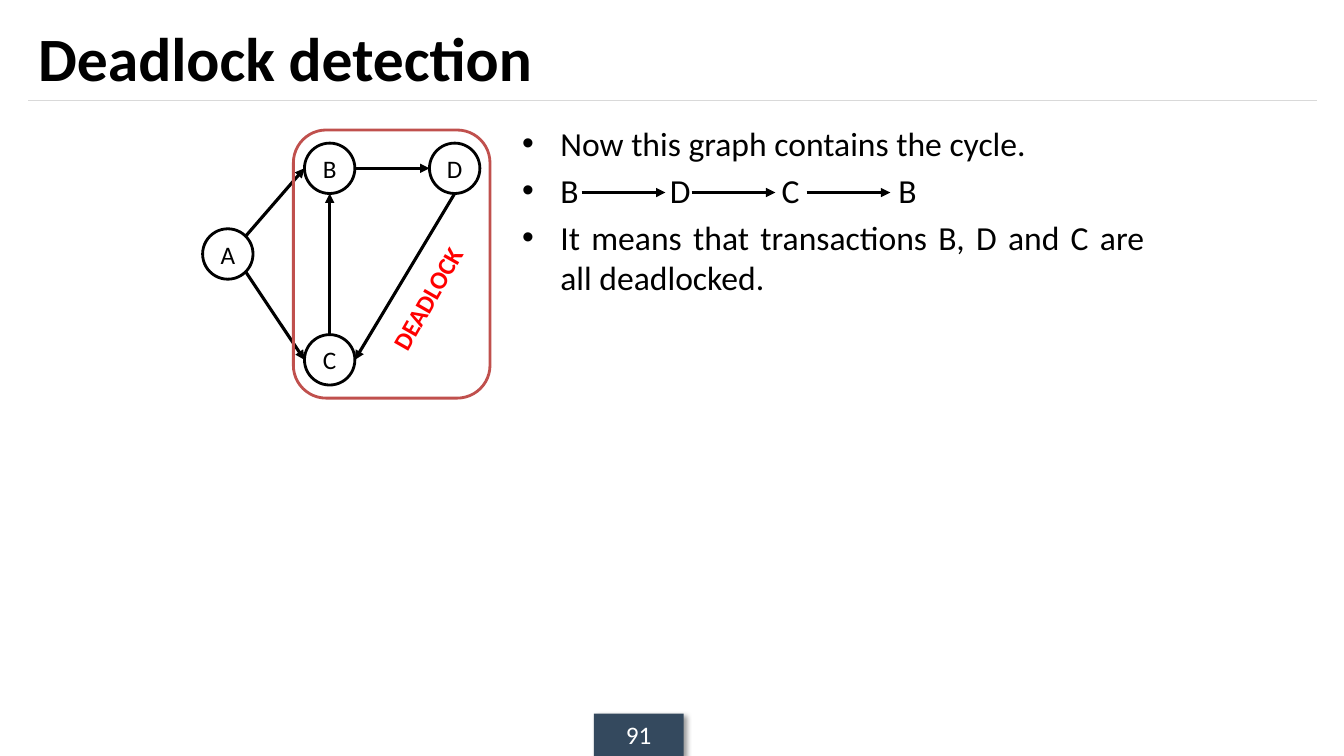
from dataclasses import dataclass
from math import cos, radians, sin

from lxml.etree import SubElement
from pptx import Presentation
from pptx.dml.color import RGBColor
from pptx.enum.shapes import MSO_CONNECTOR, MSO_SHAPE
from pptx.enum.text import MSO_ANCHOR, PP_ALIGN
from pptx.oxml.ns import qn
from pptx.util import Inches, Pt


@dataclass(frozen=True)
class Theme:
    """Colours, font and type sizes of the slide."""

    font: str = "Calibri"
    ink: str = "000000"
    paper: str = "FFFFFF"
    rule: str = "D9D9D9"
    badge: str = "34495E"
    frame: str = "C0504D"
    alarm: str = "FF0000"
    title_size: int = 44
    body_size: int = 24
    label_size: int = 18


THEME = Theme()


def style(target, **values):
    """Set each given value as an attribute of the target."""
    for name, value in values.items():
        setattr(target, name, value)


def add_span(para, text, size, color=THEME.ink, bold=False):
    """Add one formatted run to a paragraph."""
    span = para.add_run()
    span.text = text
    style(span.font, name=THEME.font, size=Pt(size), bold=bold)
    span.font.color.rgb = RGBColor.from_string(color)
    return span


def add_shape(page, kind, box, fill=None, line=None):
    """Draw a preset shape with optional fill and outline."""
    shape = page.shapes.add_shape(kind, *map(Inches, box))
    shape.shadow.inherit = False
    if fill:
        shape.fill.solid()
        shape.fill.fore_color.rgb = RGBColor.from_string(fill)
    else:
        shape.fill.background()
    if line:
        shape.line.color.rgb = RGBColor.from_string(line)
        shape.line.width = Pt(2)
    else:
        shape.line.fill.background()
    return shape


def add_label(shape, text, **look):
    """Centre a short label in a shape."""
    margins = ("margin_left", "margin_right", "margin_top", "margin_bottom")
    style(shape.text_frame, vertical_anchor=MSO_ANCHOR.MIDDLE, word_wrap=True,
          **dict.fromkeys(margins, 0))
    para = shape.text_frame.paragraphs[0]
    para.alignment = PP_ALIGN.CENTER
    add_span(para, text, THEME.label_size, **look)


def add_line(page, start, end, color=THEME.ink, width=2.25, arrow=True):
    """Draw a straight line, by default with an arrowhead at its end."""
    line = page.shapes.add_connector(
        MSO_CONNECTOR.STRAIGHT, *map(Inches, (*start, *end)))
    line.line.color.rgb = RGBColor.from_string(color)
    line.line.width = Pt(width)
    if arrow:
        SubElement(line.line._get_or_add_ln(), qn("a:tailEnd"), type="triangle")
    SubElement(line._element.spPr, qn("a:effectLst"))


def add_title(page, box, text):
    """Write the slide title with a thin rule along its lower edge."""
    left, top, width, height = box
    add_line(page, (left, top + height), (left + width, top + height),
             THEME.rule, 0.75, False)
    title = page.shapes.add_textbox(*map(Inches, box))
    style(title.text_frame, word_wrap=True, vertical_anchor=MSO_ANCHOR.MIDDLE)
    add_span(title.text_frame.paragraphs[0], text, THEME.title_size, bold=True)


def add_page_number(page, box, number):
    """Draw the page number on a dark badge with a soft shadow."""
    badge = add_shape(page, MSO_SHAPE.RECTANGLE, box, THEME.badge)
    effects = badge._element.spPr.find(qn("a:effectLst"))
    shadow = SubElement(effects, qn("a:outerShdw"), blurRad=str(Pt(4)),
                        dist=str(Pt(3)), dir="2700000", algn="tl", rotWithShape="0")
    color = SubElement(shadow, qn("a:srgbClr"), val=THEME.ink)
    SubElement(color, qn("a:alpha"), val="40000")
    add_label(badge, number, color=THEME.paper)


def add_graph(page, box):
    """Draw the wait-for graph and frame its deadlocked cycle."""
    left, top, width, height = box
    radius = 0.25
    centers = {
        "A": (left + radius, top + 1.23),
        "B": (left + 1.26, top + 0.38),
        "C": (left + 1.26, top + 2.28),
        "D": (left + 2.5, top + 0.38),
    }
    for name, (x, y) in centers.items():
        node = add_shape(page, MSO_SHAPE.OVAL,
                         (x - radius, y - radius, 2 * radius, 2 * radius),
                         THEME.paper, THEME.ink)
        add_label(node, name)

    def rim(name, angle):
        """Return the point on a node at a clockwise angle from its right."""
        x, y = centers[name]
        turn = radians(angle)
        return x + radius * cos(turn), y + radius * sin(turn)

    edges = (("A", -45, "B", 180), ("B", 0, "D", 180), ("C", -90, "B", 90),
             ("A", 45, "C", 180), ("D", 90, "C", 0))
    for source, leave, target, arrive in edges:
        add_line(page, rim(source, leave), rim(target, arrive))

    add_shape(page, MSO_SHAPE.ROUNDED_RECTANGLE,
              (left + 0.9, top, width - 0.9, height), line=THEME.frame)
    caption = page.shapes.add_textbox(
        *map(Inches, (left + 1.54, top + 1.47, 1.37, 0.4)))
    caption.rotation = 299.7
    add_label(caption, "DEADLOCK", color=THEME.alarm, bold=True)


def add_bullets(page, box):
    """Write the bullet list with arrows between the steps of the cycle."""
    left, top = box[:2]
    lines = (
        (("Now this graph contains the cycle.", 0),),
        (("B", 0), (" ", 59.7), ("D", 0), (" ", 59.7), ("C", 0), (" ", 65.1), ("B", 0)),
        (("It means that transactions B, D and C are all deadlocked.", 0),),
    )
    body = page.shapes.add_textbox(*map(Inches, box))
    body.text_frame.word_wrap = True
    for index, pieces in enumerate(lines):
        para = body.text_frame.add_paragraph() if index else body.text_frame.paragraphs[0]
        style(para, alignment=PP_ALIGN.JUSTIFY, space_before=Pt(4.8 if index else 0))
        properties = para._p.get_or_add_pPr()
        properties.set("marL", str(Inches(0.38)))
        properties.set("indent", str(Inches(-0.38)))
        SubElement(properties, qn("a:buFont"), typeface="Arial")
        SubElement(properties, qn("a:buChar"), char="•")
        for text, tracking in pieces:
            span = add_span(para, text, THEME.body_size)
            if tracking:
                span.font._element.set("spc", str(round(tracking * 100)))
    for offset in (0.69, 1.78, 2.92):
        add_line(page, (left + offset, top + 0.74), (left + offset + 0.83, top + 0.74))


def main():
    """Build the deck and save it."""
    deck = Presentation()
    style(deck, slide_width=Inches(13.33), slide_height=Inches(7.5))
    page = deck.slides.add_slide(deck.slide_layouts[6])
    add_page_number(page, (5.89, 7.08, 0.89, 0.42), "91")
    add_title(page, (0.28, 0.12, 12.78, 0.88), "Deadlock detection")
    add_bullets(page, (5.08, 1.17, 6.37, 5.53))
    add_graph(page, (2.01, 1.29, 2.85, 2.66))
    deck.save("out.pptx")


if __name__ == "__main__":
    main()
